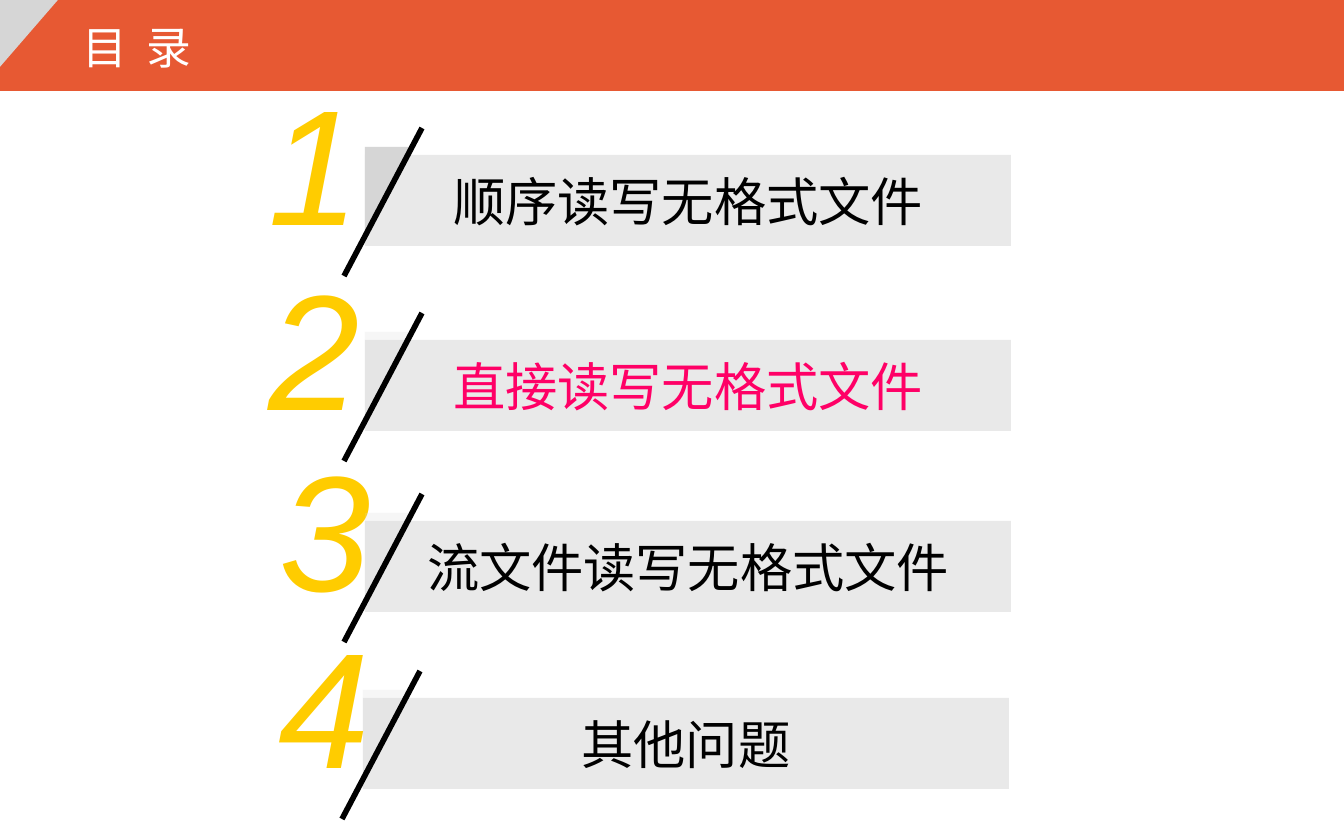
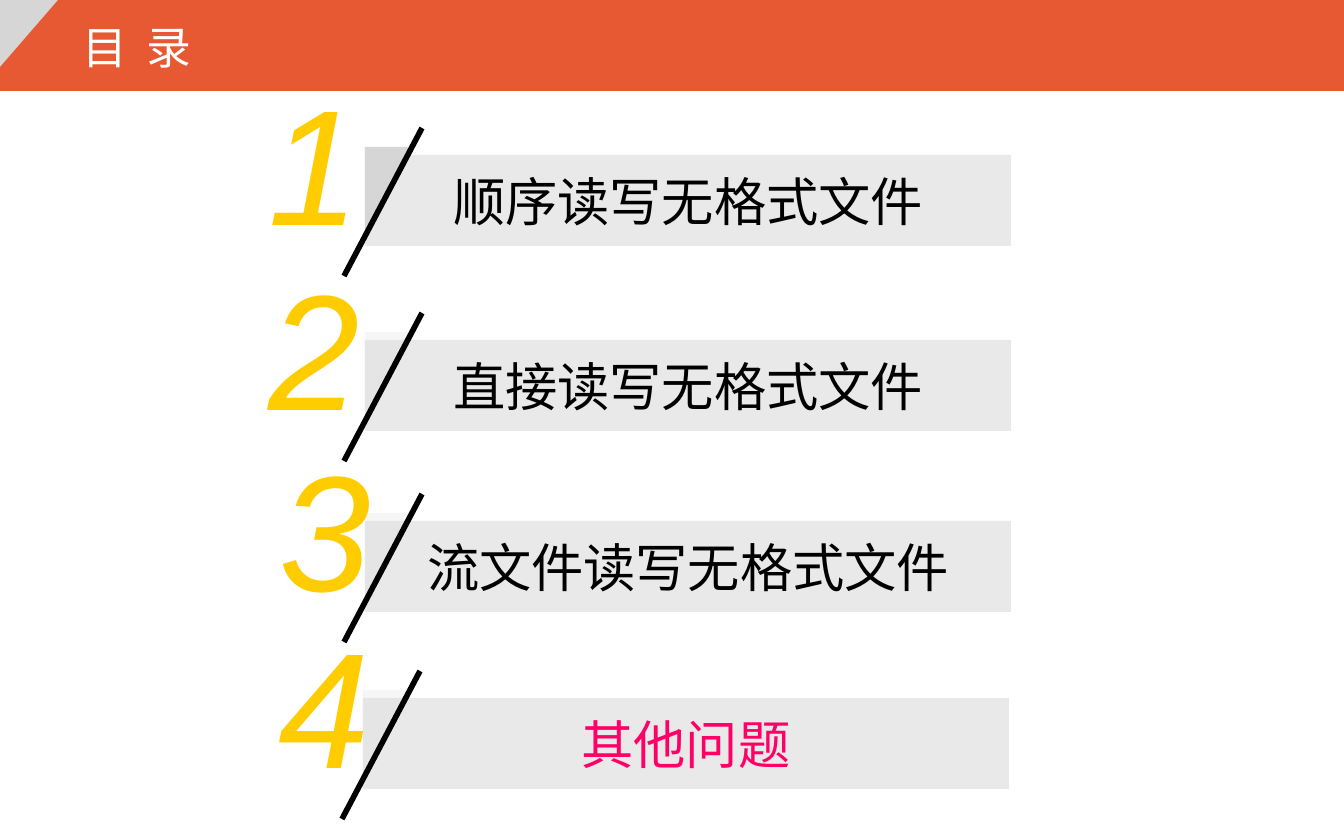
from dataclasses import dataclass

from lxml import etree
from pptx import Presentation
from pptx import util as u
from pptx.dml.color import RGBColor
from pptx.enum import shapes, text
from pptx.oxml.ns import qn

SCALE = 914400 / 134.4


def px(n):
    """Turn pixels into EMU."""
    return u.Emu(round(n * SCALE))


@dataclass(frozen=True)
class Theme:
    """Colours, fonts and type sizes of the deck."""
    band: str = "E75933"
    corner: str = "D6D6D6"
    bar: str = "949494"
    number: str = "FFCC00"
    ink: str = "000000"
    current: str = "FF0066"
    title: str = "FFFFFF"
    sans: str = "Arial"
    mono: str = "Courier New"
    title_pt: int = 24
    item_pt: int = 28
    number_pt: int = 88
    slash_pt: int = 3
    faint: int = 20


class Deck:
    """Holds the theme and the current slide and draws each kind of element."""

    def __init__(self, prs, theme):
        """Keep the presentation and its theme."""
        self.prs, self.t, self.s = prs, theme, None

    def new_slide(self):
        """Start a blank slide."""
        self.s = self.prs.slides.add_slide(self.prs.slide_layouts[6])

    def shape(self, parent, kind, box, color, alpha=100):
        """Add a filled preset shape without outline."""
        sp = parent.shapes.add_shape(kind, *map(px, box))
        sp.shadow.inherit = False
        sp.line.fill.background()
        sp.fill.solid()
        sp.fill.fore_color.rgb = RGBColor.from_string(color)
        if alpha < 100:
            clr = sp.element.spPr.find(qn("a:solidFill")).find(qn("a:srgbClr"))
            etree.SubElement(clr, qn("a:alpha")).set("val", str(alpha * 1000))
        return sp

    def corner(self, parent, box, alpha=100):
        """Add a triangle with its right angle at the top left."""
        sp = self.shape(parent, shapes.MSO_SHAPE.RIGHT_TRIANGLE, box, self.t.corner, alpha)
        sp.element.spPr.find(qn("a:xfrm")).set("flipV", "1")

    def label(self, sp, words, font, size, color, italic=False):
        """Set the text of a shape and format its run."""
        p = sp.text_frame.paragraphs[0]
        p.text = words
        r = p.runs[0]
        r.font.name, r.font.size, r.font.italic = font, u.Pt(size), italic
        r.font.color.rgb = RGBColor.from_string(color)
        return p

    def textbox(self, parent, box, words, font, size, color, wrap=True, italic=False):
        """Add a text box that grows with its text."""
        sp = parent.shapes.add_textbox(*map(px, box))
        tf = sp.text_frame
        tf.word_wrap = wrap
        tf.auto_size = text.MSO_AUTO_SIZE.SHAPE_TO_FIT_TEXT
        return self.label(sp, words, font, size, color, italic)

    def slash(self, parent, *ends):
        """Add a thick slanted line."""
        ln = parent.shapes.add_connector(shapes.MSO_CONNECTOR.STRAIGHT, *map(px, ends))
        ln.line.color.rgb = RGBColor.from_string(self.t.ink)
        ln.line.width = u.Pt(self.t.slash_pt)
        etree.SubElement(ln._element.spPr, qn("a:effectLst"))

    def header(self, words):
        """Draw the title band with its folded corner."""
        t = self.t
        self.shape(self.s, shapes.MSO_SHAPE.RECTANGLE, (0, 0, 1344, 91), t.band)
        self.corner(self.s, (0, 0, 58, 67))
        p = self.textbox(self.s, (69, 13, 456, 67), words, t.mono, t.title_pt, t.title)
        p.runs[0]._r.get_or_add_rPr().set("spc", "270")

    def item(self, number, words, font, x, y, number_x, current, alpha):
        """Draw one numbered entry whose bar starts at x, y."""
        t = self.t
        g = self.s.shapes.add_group_shape()
        self.textbox(g, (number_x, y - 100, 118, 211), number, t.sans, t.number_pt,
                     t.number, wrap=False, italic=True)
        sp = self.shape(g, shapes.MSO_SHAPE.RECTANGLE, (x, y, 646, 91), t.bar, t.faint)
        sp.text_frame.vertical_anchor = text.MSO_ANCHOR.MIDDLE
        sp.text_frame.word_wrap = True
        p = self.label(sp, words, font, t.item_pt, t.current if current else t.ink)
        p.alignment = text.PP_ALIGN.CENTER
        self.corner(g, (x, y - 8, 50, 89), alpha)
        self.slash(g, x + 57, y - 27, x - 21, y + 121)


theme = Theme()
ITEMS = [
    ("顺序读写无格式文件", theme.mono, 365, 155, 255),
    ("直接读写无格式文件", theme.mono, 365, 340, 255),
    ("流文件读写无格式文件", theme.sans, 365, 521, 266),
    ("其他问题", theme.sans, 363, 698, 265),
]

prs = Presentation()
prs.slide_width, prs.slide_height = px(1344), px(840)
deck = Deck(prs, theme)
for current in (2, 4):
    deck.new_slide()
    deck.header("目 录")
    for n, entry in enumerate(ITEMS, 1):
        deck.item(str(n), *entry, current=n == current, alpha=100 if n == 1 else theme.faint)
prs.save("out.pptx")
